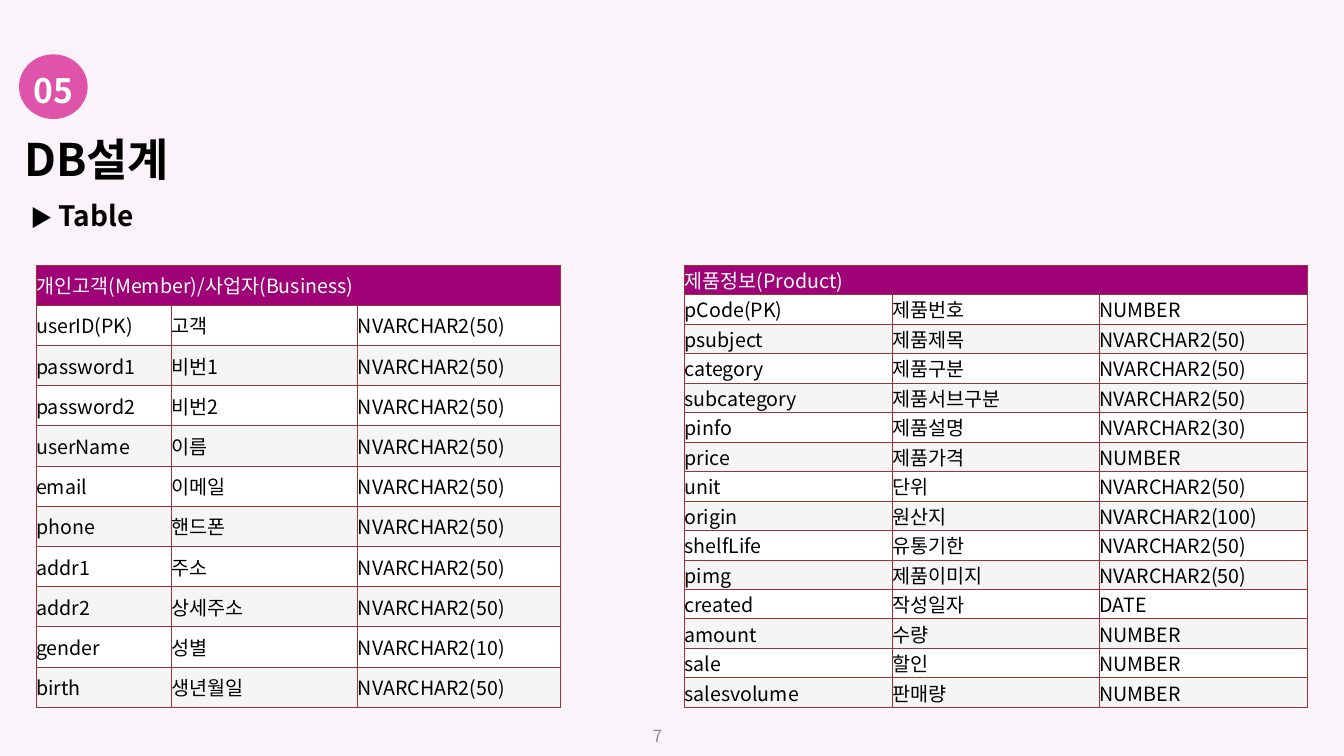
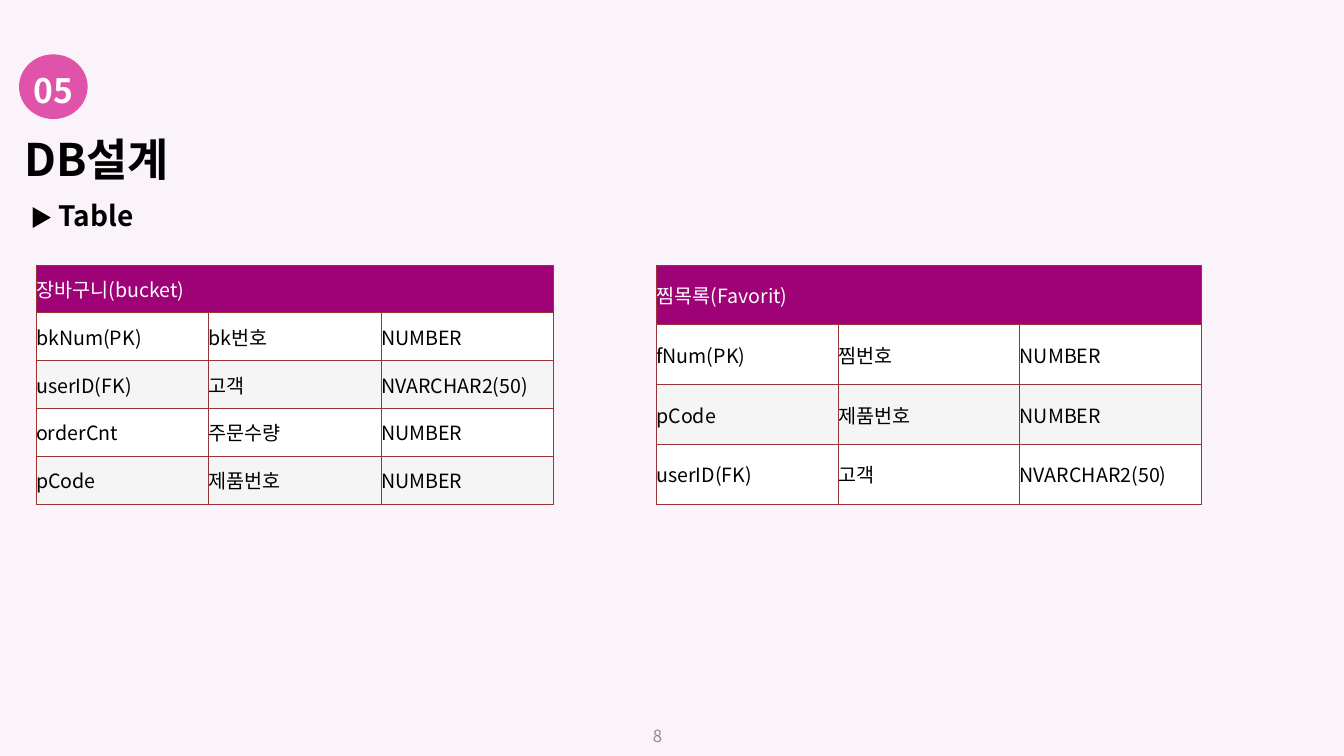
from lxml import etree
from pptx import Presentation
from pptx.dml.color import RGBColor
from pptx.enum.shapes import MSO_SHAPE
from pptx.enum.text import MSO_ANCHOR, PP_ALIGN
from pptx.oxml.ns import qn
from pptx.util import Cm, Pt

OVAL = MSO_SHAPE.OVAL
TOP, MIDDLE, BOTTOM = MSO_ANCHOR.TOP, MSO_ANCHOR.MIDDLE, MSO_ANCHOR.BOTTOM
LEFT, CENTER, RIGHT = PP_ALIGN.LEFT, PP_ALIGN.CENTER, PP_ALIGN.RIGHT

FONT = "Noto Sans CJK KR"
BACKGROUND = RGBColor(0xFB, 0xF3, 0xFA)
PINK = RGBColor(0xDF, 0x53, 0xAA)
PURPLE = RGBColor(0x9F, 0x02, 0x77)
STRIPE = RGBColor(0xF5, 0xF5, 0xF5)
WHITE = RGBColor(0xFF, 0xFF, 0xFF)
BLACK = RGBColor(0x00, 0x00, 0x00)
GRAY = RGBColor(0x8C, 0x8C, 0x8C)
BORDER = RGBColor(0x9B, 0x34, 0x34)

TEXT_50 = "NVARCHAR2(50)"

MEMBER = [
    ("userID(PK)", "고객", TEXT_50),
    ("password1", "비번1", TEXT_50),
    ("password2", "비번2", TEXT_50),
    ("userName", "이름", TEXT_50),
    ("email", "이메일", TEXT_50),
    ("phone", "핸드폰", TEXT_50),
    ("addr1", "주소", TEXT_50),
    ("addr2", "상세주소", TEXT_50),
    ("gender", "성별", "NVARCHAR2(10)"),
    ("birth", "생년월일", TEXT_50),
]
PRODUCT = [
    ("pCode(PK)", "제품번호", "NUMBER"),
    ("psubject", "제품제목", TEXT_50),
    ("category", "제품구분", TEXT_50),
    ("subcategory", "제품서브구분", TEXT_50),
    ("pinfo", "제품설명", "NVARCHAR2(30)"),
    ("price", "제품가격", "NUMBER"),
    ("unit", "단위", TEXT_50),
    ("origin", "원산지", "NVARCHAR2(100)"),
    ("shelfLife", "유통기한", TEXT_50),
    ("pimg", "제품이미지", TEXT_50),
    ("created", "작성일자", "DATE"),
    ("amount", "수량", "NUMBER"),
    ("sale", "할인", "NUMBER"),
    ("salesvolume", "판매량", "NUMBER"),
]
BUCKET = [
    ("bkNum(PK)", "bk번호", "NUMBER"),
    ("userID(FK)", "고객", TEXT_50),
    ("orderCnt", "주문수량", "NUMBER"),
    ("pCode", "제품번호", "NUMBER"),
]
FAVORITE = [
    ("fNum(PK)", "찜번호", "NUMBER"),
    ("pCode", "제품번호", "NUMBER"),
    ("userID(FK)", "고객", TEXT_50),
]


class Deck:
    def __init__(self):
        self.prs = Presentation()
        self.prs.slide_width, self.prs.slide_height = Cm(33.87), Cm(19.05)
        self.s = None

    def add_slide(self, number):
        """Start a slide with the badge, headings and page number all share."""
        self.s = self.prs.slides.add_slide(self.prs.slide_layouts[6])
        fill = self.s.background.fill
        fill.solid()
        fill.fore_color.rgb = BACKGROUND
        self.badge("05")
        self.text((0.36, 0.36, 16.36, 4.45), ["DB설계"], [32], bold=True, anchor=BOTTOM)
        p = self.text((0.53, 4.88, 17.1, 2), ["▶ ", "Table"], [16, 20])
        p.runs[1].font.bold = True
        self.text((9.32, 18.03, 7.62, 1.02), [str(number)], [12],
                  color=GRAY, align=RIGHT, anchor=MIDDLE)

    def style(self, p, size, color, bold=None, align=LEFT):
        p.alignment = align
        font = p.font
        font.size, font.bold, font.name = Pt(size), bold, FONT
        font.color.rgb = color
        props = p._p.pPr.find(qn("a:defRPr"))
        etree.SubElement(props, qn("a:ea")).set("typeface", FONT)

    def text(self, box, parts, sizes, color=BLACK, bold=None, align=LEFT, anchor=TOP):
        """Add a one-paragraph box with one run for each part and size."""
        tf = self.s.shapes.add_textbox(*map(Cm, box)).text_frame
        tf.word_wrap = True
        tf.vertical_anchor = anchor
        p = tf.paragraphs[0]
        self.style(p, sizes[0], color, bold, align)
        for part, size in zip(parts, sizes):
            r = p.add_run()
            r.text = part
            if size != sizes[0]:
                r.font.size = Pt(size)
        return p

    def badge(self, label):
        sp = self.s.shapes.add_shape(OVAL, Cm(0.48), Cm(1.37), Cm(1.73), Cm(1.63))
        sp.shadow.inherit = False
        sp.fill.solid()
        sp.fill.fore_color.rgb = PINK
        sp.line.fill.background()
        tf = sp.text_frame
        tf.word_wrap = False
        tf.vertical_anchor = MIDDLE
        tf.margin_left = tf.margin_right = tf.margin_bottom = 0
        tf.margin_top = Cm(0.15)
        tf.text = label
        self.style(tf.paragraphs[0], 24, WHITE, True, CENTER)

    def cell(self, cell, text, fill, color):
        cell.margin_left = cell.margin_right = cell.margin_top = cell.margin_bottom = 0
        cell.vertical_anchor = MIDDLE
        cell.text = text
        self.style(cell.text_frame.paragraphs[0], 14, color)
        props = cell._tc.get_or_add_tcPr()
        for side in ("a:lnL", "a:lnR", "a:lnT", "a:lnB"):
            ln = etree.SubElement(props, qn(side), w=str(Pt(0.75)))
            solid = etree.SubElement(ln, qn("a:solidFill"))
            etree.SubElement(solid, qn("a:srgbClr"), val=str(BORDER))
        cell.fill.solid()
        cell.fill.fore_color.rgb = fill

    def table(self, left, height, widths, title, fields):
        """Add a table with a merged title row above striped field rows."""
        rows = [(title, "", "")] + fields
        table = self.s.shapes.add_table(
            len(rows), len(widths), Cm(left), Cm(6.68), Cm(sum(widths)), Cm(height)).table
        table.first_row = table.horz_banding = False
        for column, width in zip(table.columns, widths):
            column.width = Cm(width)
        for i, values in enumerate(rows):
            table.rows[i].height = Cm(height / len(rows))
            fill = PURPLE if i == 0 else WHITE if i % 2 else STRIPE
            for j, value in enumerate(values):
                self.cell(table.cell(i, j), value, fill, BLACK if i else WHITE)
        table.cell(0, 0).merge(table.cell(0, len(widths) - 1))


def main():
    deck = Deck()
    deck.add_slide(7)
    deck.table(0.91, 11.15, [3.41, 4.7, 5.11], "개인고객(Member)/사업자(Business)", MEMBER)
    deck.table(17.25, 11.15, [5.23] * 3, "제품정보(Product)", PRODUCT)
    deck.add_slide(8)
    deck.table(0.91, 6.02, [4.35] * 3, "장바구니(bucket)", BUCKET)
    deck.table(16.54, 6.02, [4.58] * 3, "찜목록(Favorit)", FAVORITE)
    deck.prs.save("out.pptx")


if __name__ == "__main__":
    main()
